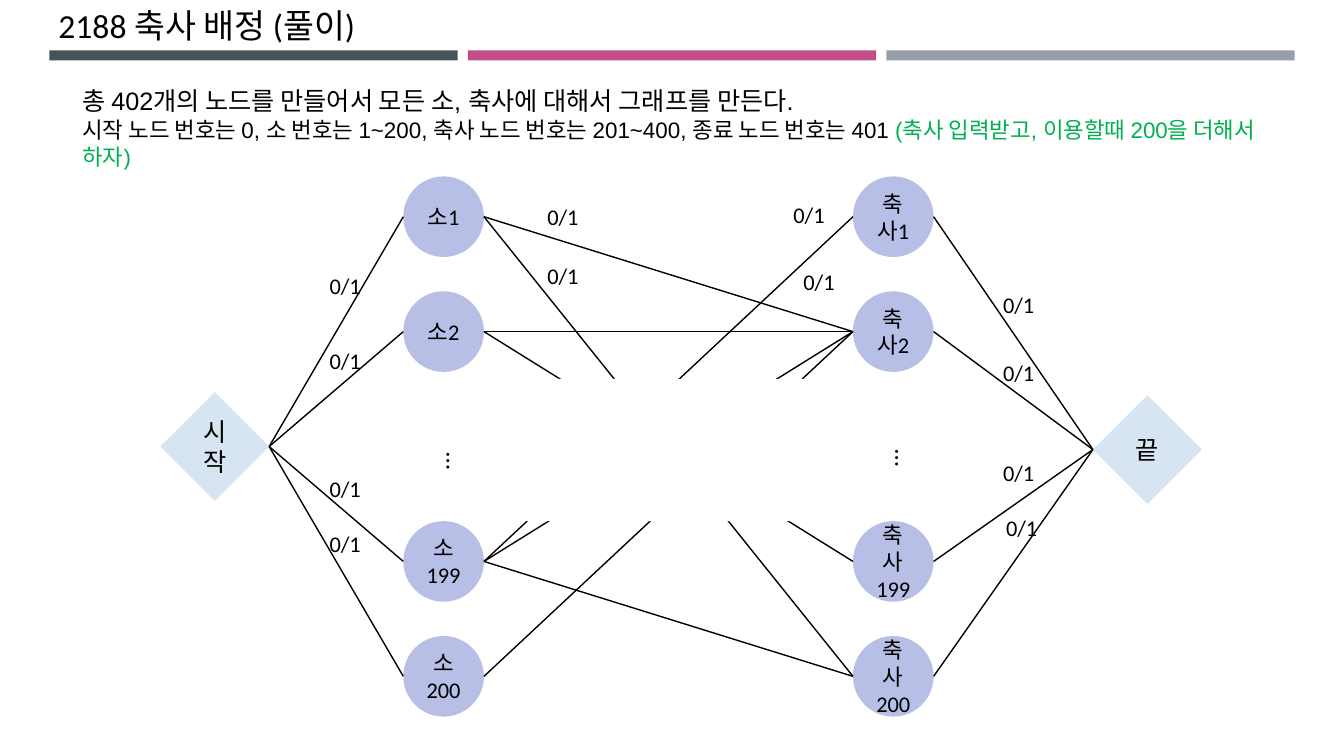
from lxml.etree import SubElement as Sub
from pptx import Presentation
from pptx.dml.color import RGBColor as Color
from pptx.enum.shapes import MSO_CONNECTOR as Conn, MSO_SHAPE as Kind
from pptx.enum.text import MSO_ANCHOR as Anchor, MSO_AUTO_SIZE as Auto, PP_ALIGN as Align
from pptx.oxml.ns import qn
from pptx.util import Inches, Pt

HUES = {
    "ink": "000000", "note": "00B050", "paper": "FFFFFF",
    "end": "D6E5F1", "node": "B8BFE7",
    "slate": "465359", "pink": "C34D86", "grey": "969FA7",
}
SIZE = 0.8
TOPS = [1.75 + 1.14 * row for row in (0, 1, 3, 4)]
MIDS = [top + SIZE / 2 for top in TOPS]
COW_X, BARN_X = 4, 8.46
START, END = (1.59, 3.89), (10.84, 3.92)
SPAN = 1.08
COWS = ["소1", "소2", "소\n199", "소200"]
BARNS = ["축사1", "축사2", "축사199", "축사200"]
PAIRS = [(0, 1), (0, 3), (1, 1), (1, 2), (2, 0), (2, 1), (2, 3), (3, 1)]
FLOWS = [
    (3.17, 2.65), (3.17, 3.39), (3.17, 4.66), (3.17, 5.21),
    (9.85, 2.84), (9.85, 3.51), (9.85, 4.51), (9.88, 5.05),
    (5.33, 1.97), (5.33, 2.55), (7.87, 2.61), (7.77, 1.95),
]


def hue(name):
    """Return the named colour."""
    return Color.from_string(HUES[name])


def write(shape, text, size=16, font="Calibri", align=Align.LEFT,
          anchor=Anchor.TOP, vert=None):
    """Fill a shape with text, or with paragraphs of (text, size, colour) runs."""
    frame = shape.text_frame
    frame.word_wrap = True
    frame.auto_size = Auto.NONE
    frame.vertical_anchor = anchor
    if vert:
        shape.element.txBody.bodyPr.set("vert", vert)
    if isinstance(text, str):
        text = [[(line, size, "ink")] for line in text.split("\n")]
    for i, runs in enumerate(text):
        para = frame.add_paragraph() if i else frame.paragraphs[0]
        para.alignment = align
        for words, points, tint in runs:
            run = para.add_run()
            run.text = words
            run.font.size = Pt(points)
            run.font.name = font
            run.font.color.rgb = hue(tint)


def label(slide, box, text, **style):
    """Add a text box."""
    write(slide.shapes.add_textbox(*map(Inches, box)), text, **style)


def block(slide, kind, box, tint, text="", size=16):
    """Add a filled shape with centred text."""
    shape = slide.shapes.add_shape(kind, *map(Inches, box))
    shape.shadow.inherit = False
    shape.fill.solid()
    shape.fill.fore_color.rgb = hue(tint)
    shape.line.fill.background()
    if text:
        write(shape, text, size=size, align=Align.CENTER, anchor=Anchor.MIDDLE)


def edge(slide, tail, head):
    """Add a straight line between two points."""
    line = slide.shapes.add_connector(Conn.STRAIGHT, *map(Inches, tail + head))
    line.line.color.rgb = hue("ink")
    line.line.width = Pt(1)
    Sub(line.element.spPr, qn("a:effectLst"))


def header(slide):
    """Place the title and the three bars under it."""
    title = slide.shapes.title
    title.left, title.top, title.width, title.height = map(Inches, (0.48, 0, 12.37, 0.5))
    write(title, "2188 축사 배정 (풀이)", size=24)
    for i, tint in enumerate(("slate", "pink", "grey")):
        block(slide, Kind.RECTANGLE, (0.49 + 4.15 * i, 0.5, 4.05, 0.1), tint)


def nodes(slide):
    """Draw the start, end, cow and barn nodes."""
    for spot, text in ((START, "시작"), (END, "끝")):
        block(slide, Kind.DIAMOND, (*spot, SPAN, SPAN), "end", text, size=18)
    for left, names in ((COW_X, COWS), (BARN_X, BARNS)):
        for top, name in zip(TOPS, names):
            block(slide, Kind.OVAL, (left, top, SIZE, SIZE), "node", name)


def edges(slide):
    """Link the nodes from start to end."""
    source = (START[0] + SPAN, START[1] + SPAN / 2)
    sink = (END[0], END[1] + SPAN / 2)
    for mid in MIDS:
        edge(slide, source, (COW_X, mid))
        edge(slide, (BARN_X + SIZE, mid), sink)
    for cow, barn in PAIRS:
        edge(slide, (COW_X + SIZE, MIDS[cow]), (BARN_X, MIDS[barn]))


def main():
    """Build and save the slide."""
    deck = Presentation()
    deck.slide_width, deck.slide_height = Inches(13.33), Inches(7.5)
    slide = deck.slides.add_slide(deck.slide_layouts[5])
    header(slide)
    nodes(slide)
    edges(slide)
    for spot in FLOWS:
        label(slide, (*spot, 0.72, 0.37), "0/1")
    block(slide, Kind.RECTANGLE, (4.94, 3.76, 3.25, 1.41), "paper")
    for spot in ((4.23, 4.39), (8.68, 4.36)):
        label(slide, (*spot, 0.5, 0.65), "…", size=18, vert="eaVert")
    label(slide, (0.72, 0.8, 11.87, 0.67), [
        [("총 402개의 노드를 만들어서 모든 소, 축사에 대해서 그래프를 만든다.", 18, "ink")],
        [("시작 노드 번호는 0, 소 번호는 1~200, 축사 노드 번호는 201~400, "
          "종료 노드 번호는 401 ", 16, "ink"),
         ("(축사 입력받고, 이용할때 200을 더해서 하자)", 16, "note")],
    ], font="Arial")
    deck.save("out.pptx")


main()
